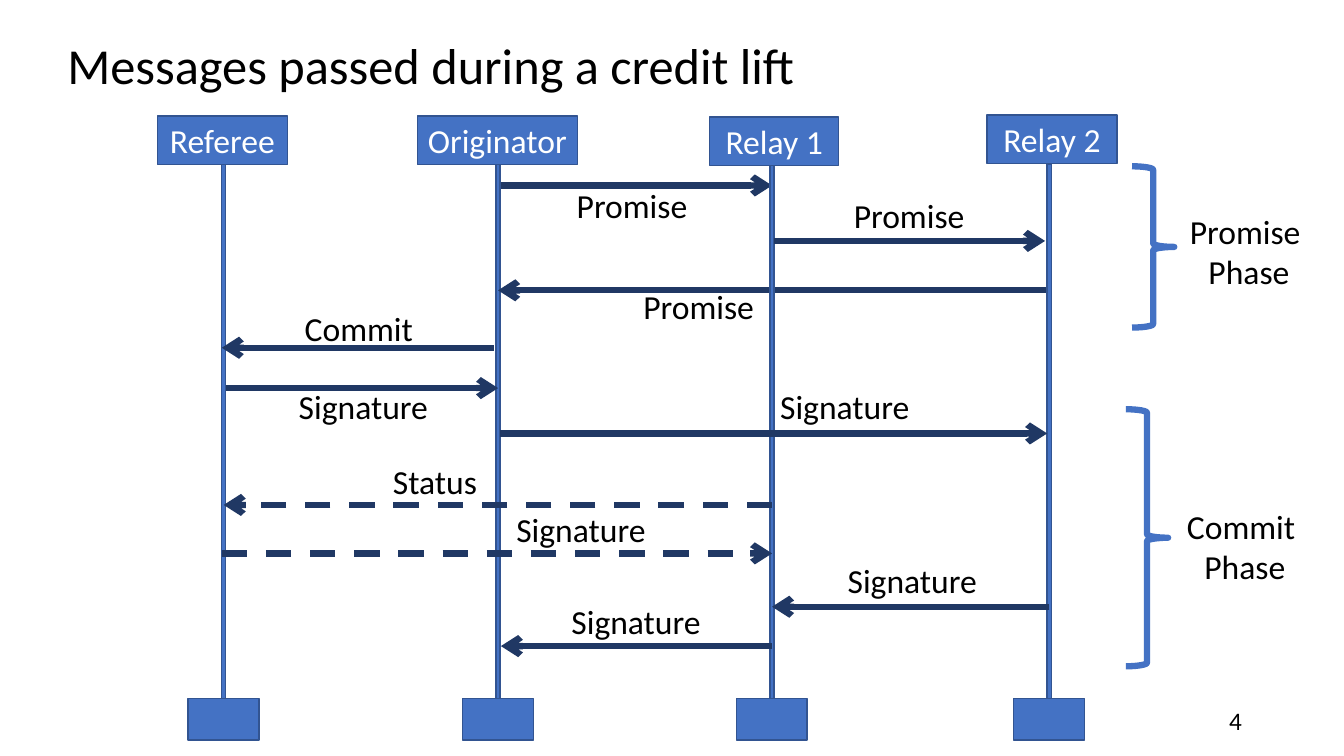
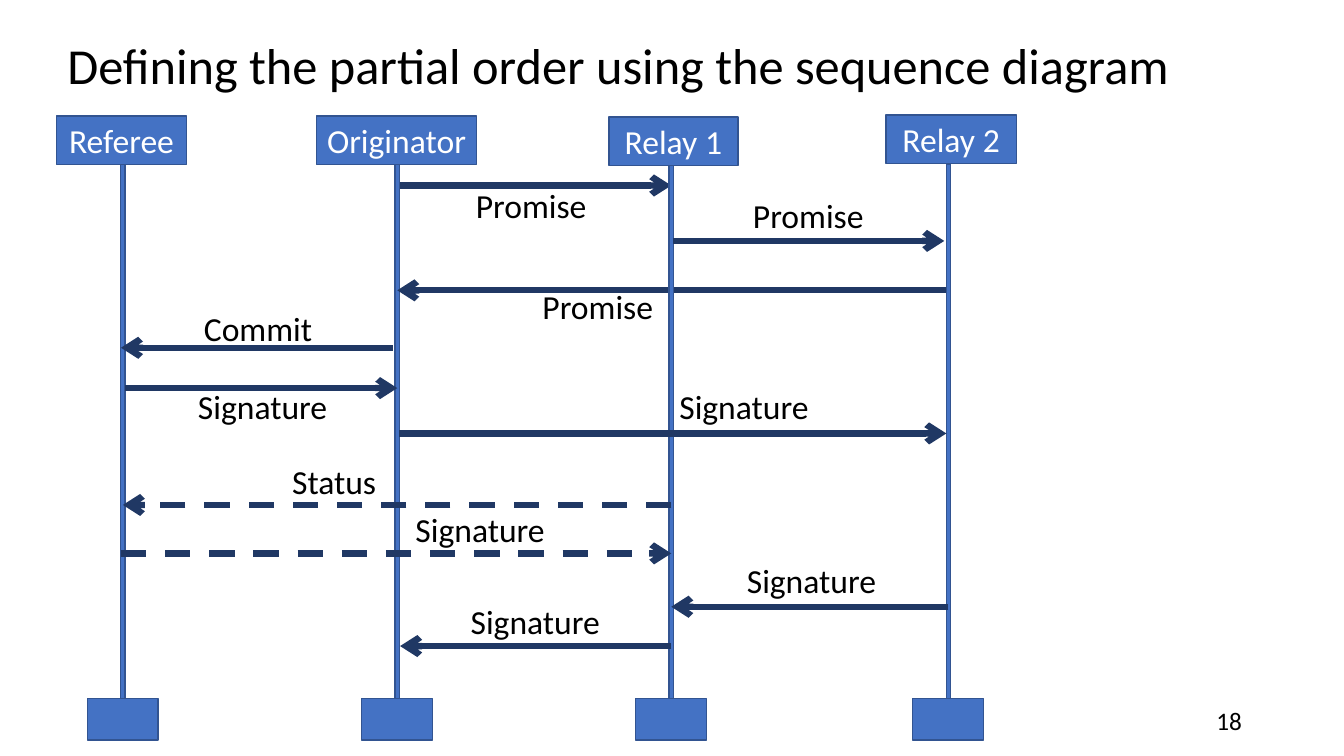
from dataclasses import dataclass

from lxml import etree
from pptx import Presentation
from pptx.dml.color import RGBColor
from pptx.enum.dml import MSO_LINE
from pptx.enum.shapes import MSO_CONNECTOR, MSO_SHAPE
from pptx.enum.text import MSO_ANCHOR, MSO_AUTO_SIZE, PP_ALIGN
from pptx.oxml.ns import qn
from pptx.util import Pt

RECTANGLE, BRACE = MSO_SHAPE.RECTANGLE, MSO_SHAPE.RIGHT_BRACE
STRAIGHT, DASH = MSO_CONNECTOR.STRAIGHT, MSO_LINE.DASH
TOP, MIDDLE = MSO_ANCHOR.TOP, MSO_ANCHOR.MIDDLE
LEFT, CENTER, RIGHT = PP_ALIGN.LEFT, PP_ALIGN.CENTER, PP_ALIGN.RIGHT
GROW, FIXED = MSO_AUTO_SIZE.SHAPE_TO_FIT_TEXT, MSO_AUTO_SIZE.NONE


@dataclass(frozen=True)
class Theme:
    font: str = "Calibri"
    text: str = "000000"
    inverse: str = "FFFFFF"
    box: str = "4472C4"
    outline: str = "325491"
    arrow: str = "203864"
    title_size: int = 36
    body_size: int = 24
    number_size: int = 18
    thin: float = 1
    thick: float = 4.5


@dataclass(frozen=True)
class Role:
    name: str
    x: float
    head_left: float
    head_top: float
    head_width: float


@dataclass(frozen=True)
class Message:
    """An arrow between two lifelines; leave and arrive nudge its two ends."""
    label: str
    sender: Role
    receiver: Role
    y: float
    label_x: float
    label_top: float
    leave: float = 0
    arrive: float = 0
    dashed: bool = False


REFEREE = Role("Referee", 159.8, 112.3, 82.8, 93)
ORIGINATOR = Role("Originator", 355.8, 298, 82.8, 114.5)
RELAY_1 = Role("Relay 1", 551.5, 506.9, 83.5, 92.2)
RELAY_2 = Role("Relay 2", 749.5, 704.9, 82.1, 93)
ROLES = (REFEREE, ORIGINATOR, RELAY_1, RELAY_2)

# These two pass behind the lifelines of the referee and the relays.
BACK_MESSAGES = (
    Message("Promise", ORIGINATOR, RELAY_1, 132.5, 451.4, 128.9, leave=2),
    Message("Promise", RELAY_2, ORIGINATOR, 207.4, 499, 200.9),
)
FRONT_MESSAGES = (
    Message("Promise", RELAY_1, RELAY_2, 172.1, 649.4, 135.4, leave=1.5, arrive=-3),
    Message("Commit", ORIGINATOR, REFEREE, 248.4, 256.3, 216.7, leave=-3, arrive=-1.4),
    Message("Signature", REFEREE, ORIGINATOR, 277.2, 259.6, 272.2, leave=1.5),
    Message("Signature", ORIGINATOR, RELAY_2, 309.6, 603.4, 272.2, leave=1.5, arrive=-1.5),
    Message("Status", RELAY_1, REFEREE, 360.7, 310.7, 325.4, dashed=True),
    Message("Signature", REFEREE, RELAY_1, 395.3, 415, 360, leave=-1.4, dashed=True),
    Message("Signature", RELAY_2, RELAY_1, 433.4, 651.6, 396.7),
    Message("Signature", RELAY_1, ORIGINATOR, 461.5, 454.3, 425.5, arrive=2),
)


def assign(target, values):
    for name, value in values.items():
        setattr(target, name, value)


class Sketch:
    """Draws on the current page in one theme; offset shifts the diagram sideways."""

    def __init__(self, deck, theme):
        self.deck, self.theme = deck, theme
        self.page, self.offset = None, 0

    def new_page(self, title, number, offset):
        self.page = self.deck.slides.add_slide(self.deck.slide_layouts[6])
        self.offset = 0
        theme = self.theme
        box = self.text([title], 41, 27.4, 877.7, 43.2, theme.title_size, LEFT, MIDDLE, FIXED)
        box.text_frame.paragraphs[0].line_spacing = 0.9
        self.text([number], 678.2, 500.4, 216, 28.8, theme.number_size, RIGHT, MIDDLE, FIXED)
        self.offset = offset

    def put_lines(self, frame, lines, size, color, align):
        style = {"name": self.theme.font, "size": Pt(size)}
        for index, line in enumerate(lines):
            para = frame.add_paragraph() if index else frame.paragraphs[0]
            para.alignment = align
            span = para.add_run()
            span.text = line
            assign(span.font, style)
            span.font.color.rgb = RGBColor.from_string(color)

    def text(self, lines, left, top, width, height, size, align, anchor, fit):
        box = self.page.shapes.add_textbox(
            Pt(left + self.offset), Pt(top), Pt(width), Pt(height))
        assign(box.text_frame, {"word_wrap": True, "vertical_anchor": anchor, "auto_size": fit})
        self.put_lines(box.text_frame, lines, size, self.theme.text, align)
        return box

    def label(self, lines, center, top, width, height):
        self.text(lines, center - width / 2, top, width, height,
                  self.theme.body_size, CENTER, TOP, GROW)

    def stroke(self, line, color, width):
        line.color.rgb = RGBColor.from_string(color)
        line.width = Pt(width)

    def shape(self, kind, left, top, width, height):
        shape = self.page.shapes.add_shape(
            kind, Pt(left + self.offset), Pt(top), Pt(width), Pt(height))
        shape.shadow.inherit = False
        return shape

    def block(self, left, top, width, height, name=""):
        block = self.shape(RECTANGLE, left, top, width, height)
        block.fill.solid()
        block.fill.fore_color.rgb = RGBColor.from_string(self.theme.box)
        self.stroke(block.line, self.theme.outline, self.theme.thin)
        if name:
            assign(block.text_frame, {"word_wrap": False, "vertical_anchor": MIDDLE})
            self.put_lines(block.text_frame, [name], self.theme.body_size,
                           self.theme.inverse, CENTER)

    def lifeline(self, role):
        self.block(role.x - 1.5, 117, 3, 411)

    def ends(self, role):
        """Draw the named head and the plain foot of a lifeline."""
        self.block(role.head_left, role.head_top, role.head_width, 34.6, role.name)
        self.block(role.x - 25.5, 499, 50.6, 29.5)

    def message(self, message):
        start = message.sender.x + message.leave
        end = message.receiver.x + message.arrive
        arrow = self.page.shapes.add_connector(
            STRAIGHT, Pt(start + self.offset), Pt(message.y),
            Pt(end + self.offset), Pt(message.y))
        self.stroke(arrow.line, self.theme.arrow, self.theme.thick)
        if message.dashed:
            arrow.line.dash_style = DASH
        properties = arrow._element.spPr
        etree.SubElement(properties.find(qn("a:ln")), qn("a:tailEnd"), type="arrow")
        etree.SubElement(properties, qn("a:effectLst"))
        self.label([message.label], message.label_x, message.label_top, abs(end - start), 36)

    def phase(self, lines, left, top, height, label_x, label_top):
        brace = self.shape(BRACE, left, top, 30.2, height)
        brace.fill.background()
        self.stroke(brace.line, self.theme.box, self.theme.thick)
        self.label(lines, label_x, label_top, 170, 65.5)

    def sequence(self):
        self.lifeline(ORIGINATOR)
        for message in BACK_MESSAGES:
            self.message(message)
        for role in ROLES:
            if role is not ORIGINATOR:
                self.lifeline(role)
        for role in ROLES:
            self.ends(role)
        for message in FRONT_MESSAGES:
            self.message(message)


def main():
    deck = Presentation()
    assign(deck, {"slide_width": Pt(960), "slide_height": Pt(540)})
    sketch = Sketch(deck, Theme())

    sketch.new_page("Messages passed during a credit lift", "4", 0)
    sketch.sequence()
    sketch.phase(["Promise ", "Phase"], 808.6, 118.8, 115.2, 892.1, 146.9)
    sketch.phase(["Commit ", "Phase"], 804.2, 292.3, 183.6, 889.2, 357.8)

    sketch.new_page("Defining the partial order using the sequence diagram", "18", -72)
    sketch.sequence()

    deck.save("out.pptx")


if __name__ == "__main__":
    main()
